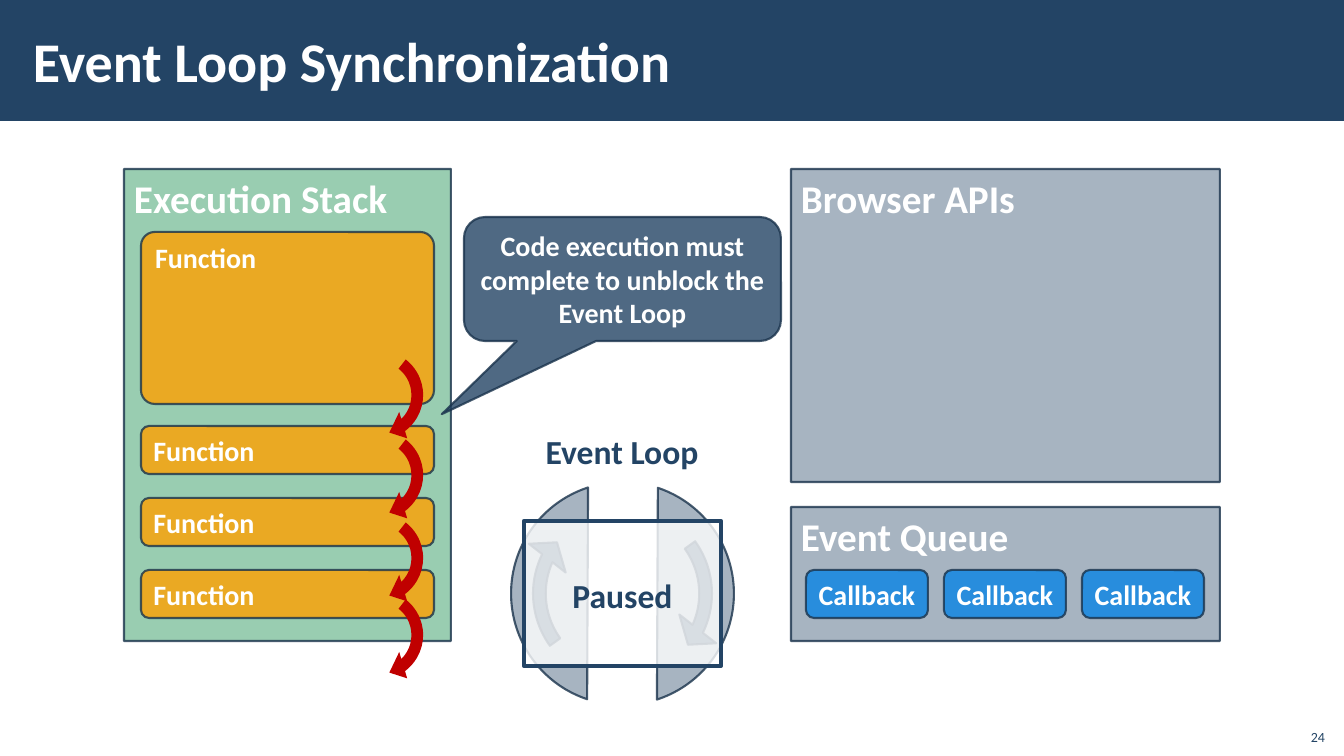
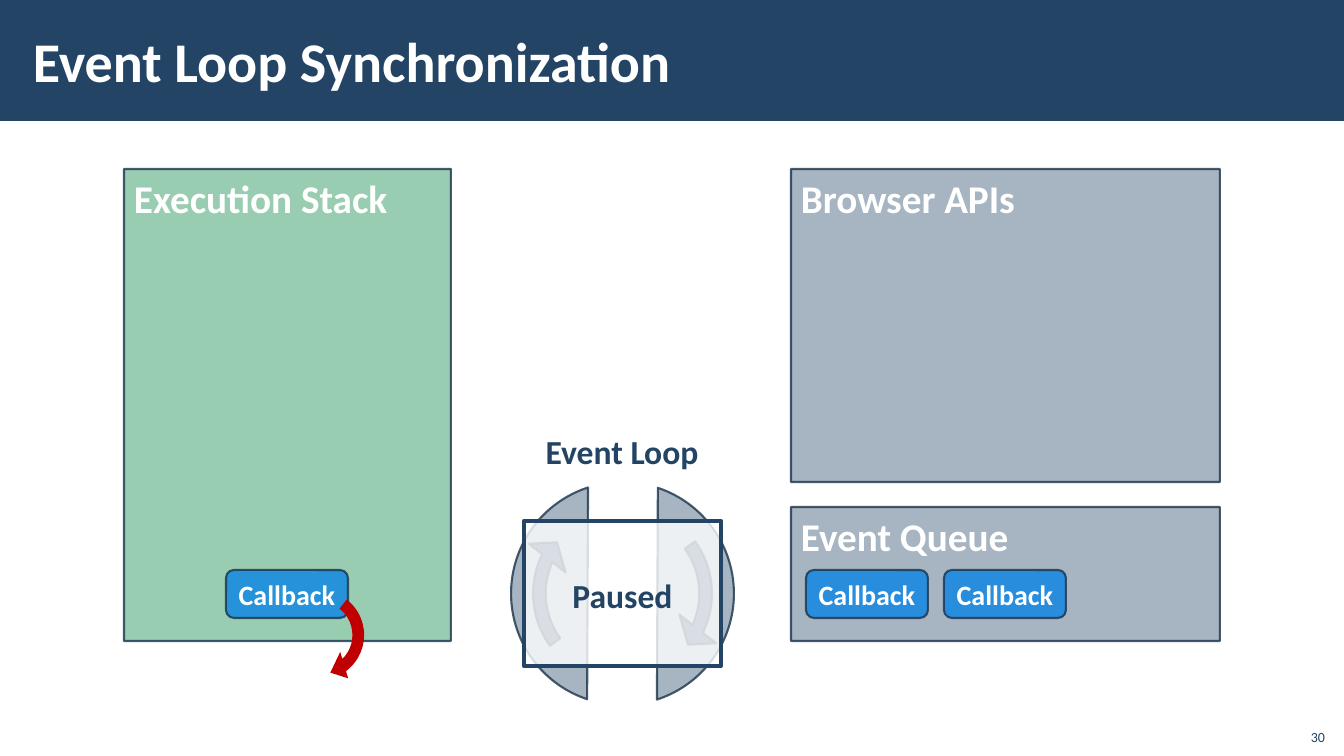
from lxml import etree
from pptx import Presentation
from pptx import util as u
from pptx.dml import color
from pptx.enum import shapes, text
from pptx.oxml import ns

SCALE = 12192000 / 1344
NAVY, EDGE, WHITE = "234465", "1A334C", "FFFFFF"
GREEN, ORANGE, BLUE, RED = "00843C", "FFA000", "0984E4", "C00000"
KIND = shapes.MSO_SHAPE
LEFT, CENTER, RIGHT = text.PP_ALIGN.LEFT, text.PP_ALIGN.CENTER, text.PP_ALIGN.RIGHT
TOP, MIDDLE, BOTTOM = text.MSO_ANCHOR.TOP, text.MSO_ANCHOR.MIDDLE, text.MSO_ANCHOR.BOTTOM
PLAIN_INSETS, LOOP_INSETS, TITLE_INSETS = (10, 5), (16, 12), (12, 4)
ITEM_HEIGHT, ITEM_STEP = 48, 72
CALLBACK_WIDTH, CALLBACK_STEP = 122, 138
LOOP_ARROW = (0.06, 7.73, 123.09, 86.55, 0.11)
RETURN_ARROW = (0.11, 13.87, 138.07, 76.75, 0.13)


def px(length):
    """Turn pixels into EMU."""
    return u.Emu(round(length * SCALE))


def rgb(value):
    """Turn a hex string into a colour."""
    return color.RGBColor.from_string(value)


def set_opacity(parent, percent):
    """Make the first colour below an element partly transparent."""
    if percent < 100:
        target = parent.find(".//" + ns.qn("a:srgbClr"))
        etree.SubElement(target, ns.qn("a:alpha"), val=str(percent * 1000))


def write(shape, words, size, ink=WHITE, bold=True, align=LEFT, anchor=MIDDLE,
          insets=PLAIN_INSETS, wrap=True, spacing=1.0):
    """Fill a shape with one formatted paragraph."""
    frame = shape.text_frame
    across, down = (px(inset) for inset in insets)
    frame_format = {
        "auto_size": text.MSO_AUTO_SIZE.NONE, "word_wrap": wrap, "vertical_anchor": anchor,
        "margin_left": across, "margin_right": across, "margin_top": down, "margin_bottom": down,
    }
    paragraph = frame.paragraphs[0]
    run = paragraph.add_run()
    run.text = words
    formats = (
        (frame, frame_format),
        (paragraph, {"alignment": align, "line_spacing": spacing}),
        (run.font, {"name": "Calibri", "size": u.Pt(size), "bold": bold}),
    )
    for target, values in formats:
        for name, value in values.items():
            setattr(target, name, value)
    run.font.color.rgb = rgb(ink)


def draw(parent, kind, box, fill, opacity=100, edge=EDGE, weight=1.5, edge_opacity=80,
         adjust=(), rotation=0):
    """Add a preset shape with its fill and outline."""
    shape = parent.shapes.add_shape(kind, *map(px, box))
    shape.shadow.inherit = False
    shape.rotation = rotation
    for index, value in enumerate(adjust):
        shape.adjustments[index] = value
    shape.fill.solid()
    shape.fill.fore_color.rgb = rgb(fill)
    properties = shape.element.spPr
    set_opacity(properties, opacity)
    if edge:
        shape.line.color.rgb = rgb(edge)
        shape.line.width = u.Pt(weight)
        set_opacity(properties.find(ns.qn("a:ln")), edge_opacity)
    else:
        shape.line.fill.background()
    return shape


def add_label(slide, box, words, size, **style):
    """Add a text box."""
    write(slide.shapes.add_textbox(*map(px, box)), words, size, **style)


def add_frame(presentation, title, number):
    """Add a slide with the title band and the slide number."""
    slide = presentation.slides.add_slide(presentation.slide_layouts[5])
    heading = slide.shapes.title
    band = draw(slide, KIND.RECTANGLE, (0, 0, 1344, 121), NAVY, edge=None)
    heading.element.addprevious(band.element)
    heading.left, heading.top, heading.width, heading.height = map(px, (21, 11, 1072, 98))
    write(heading, title, 40, insets=TITLE_INSETS)
    add_label(slide, (1295, 718, 40, 32), number, 10, ink=NAVY, bold=False,
              align=RIGHT, anchor=BOTTOM)
    return slide


def add_panel(slide, box, name, fill=NAVY):
    """Add a tinted panel named at its top left."""
    write(draw(slide, KIND.RECTANGLE, box, fill, 40), name, 28, anchor=TOP)


def add_callback(slide, left, top):
    """Add one callback tile."""
    tile = draw(slide, KIND.ROUNDED_RECTANGLE, (left, top, CALLBACK_WIDTH, ITEM_HEIGHT), BLUE, 80)
    write(tile, "Callback", 20, align=CENTER, wrap=False)


def add_return_arrow(slide, left, top):
    """Add a red arrow curving down to the next item."""
    draw(slide, KIND.CIRCULAR_ARROW, (left, top, 106, 106), RED, edge=None,
         adjust=RETURN_ARROW, rotation=180)


def add_queue(slide, box, count):
    """Add the event queue with its waiting callbacks."""
    add_panel(slide, box, "Event Queue")
    left, top = box[:2]
    for index in range(count):
        add_callback(slide, left + 15 + index * CALLBACK_STEP, top + 63)


def add_functions(slide, box):
    """Fill the stack with one large and three small functions and their arrows."""
    left, top = box[0] + 17, box[1]
    large = draw(slide, KIND.ROUNDED_RECTANGLE, (left, top + 63, 293, 172), ORANGE, 80,
                 adjust=(0.08,))
    write(large, "Function", 20, anchor=TOP)
    for index in range(3):
        small = draw(slide, KIND.ROUNDED_RECTANGLE,
                     (left, top + 257 + index * ITEM_STEP, 293, ITEM_HEIGHT), ORANGE, 80)
        write(small, "Function", 20)
    for offset in (173, 253, 336, 413):
        add_return_arrow(slide, left + 184, top + offset)


def add_running_callback(slide, box):
    """Put one callback at the bottom of the stack with its arrow."""
    left, top = box[:2]
    add_callback(slide, left + 102, top + 401)
    add_return_arrow(slide, left + 142, top + 413)


def add_loop(slide, box):
    """Add the event loop wheel, its name and the paused sign."""
    left, top, width, height = box
    add_label(slide, (left + 18, top - 67, 186, 67), "Event Loop", 24, ink=NAVY, align=CENTER,
              anchor=TOP, insets=LOOP_INSETS, wrap=False, spacing=1.1)
    wheel = slide.shapes.add_group_shape()
    for rotation in (90, 270):
        draw(wheel, KIND.CHORD, box, NAVY, 40, adjust=(11.11, 97.18), rotation=rotation)
    inner = (left + 5, top + 5, width - 10, height - 10)
    for rotation in (180, 0):
        draw(wheel, KIND.CIRCULAR_ARROW, inner, NAVY, 80, adjust=LOOP_ARROW, rotation=rotation)
    sign = draw(slide, KIND.RECTANGLE, (left + 13, top + 39, 197, 145), WHITE, 80,
                edge=NAVY, weight=3, edge_opacity=100)
    write(sign, "Paused", 24, ink=NAVY, align=CENTER, insets=LOOP_INSETS, spacing=1.1)


def add_callout(slide, box, words):
    """Add a speech bubble pointing at the stack."""
    bubble = draw(slide, KIND.ROUNDED_RECTANGULAR_CALLOUT, box, NAVY, 80,
                  adjust=(-0.57, 1.09, 0.17))
    write(bubble, words, 20, align=CENTER)


def add_loop_slide(presentation, number, waiting, fill_stack):
    """Add a slide showing the stack, the loop, the APIs and the queue."""
    slide = add_frame(presentation, "Event Loop Synchronization", number)
    stack = (124, 169, 327, 472)
    add_panel(slide, stack, "Execution Stack", GREEN)
    add_panel(slide, (791, 169, 429, 313), "Browser APIs")
    add_queue(slide, (791, 507, 429, 134), waiting)
    add_loop(slide, (511, 482, 223, 223))
    fill_stack(slide, stack)
    return slide


def main():
    """Build and save the presentation."""
    presentation = Presentation()
    presentation.slide_width, presentation.slide_height = px(1344), px(756)
    blocked = add_loop_slide(presentation, "24", 3, add_functions)
    add_callout(blocked, (464, 217, 317, 124),
                "Code execution must complete to unblock the Event Loop")
    add_loop_slide(presentation, "30", 2, add_running_callback)
    presentation.save("out.pptx")


if __name__ == "__main__":
    main()
